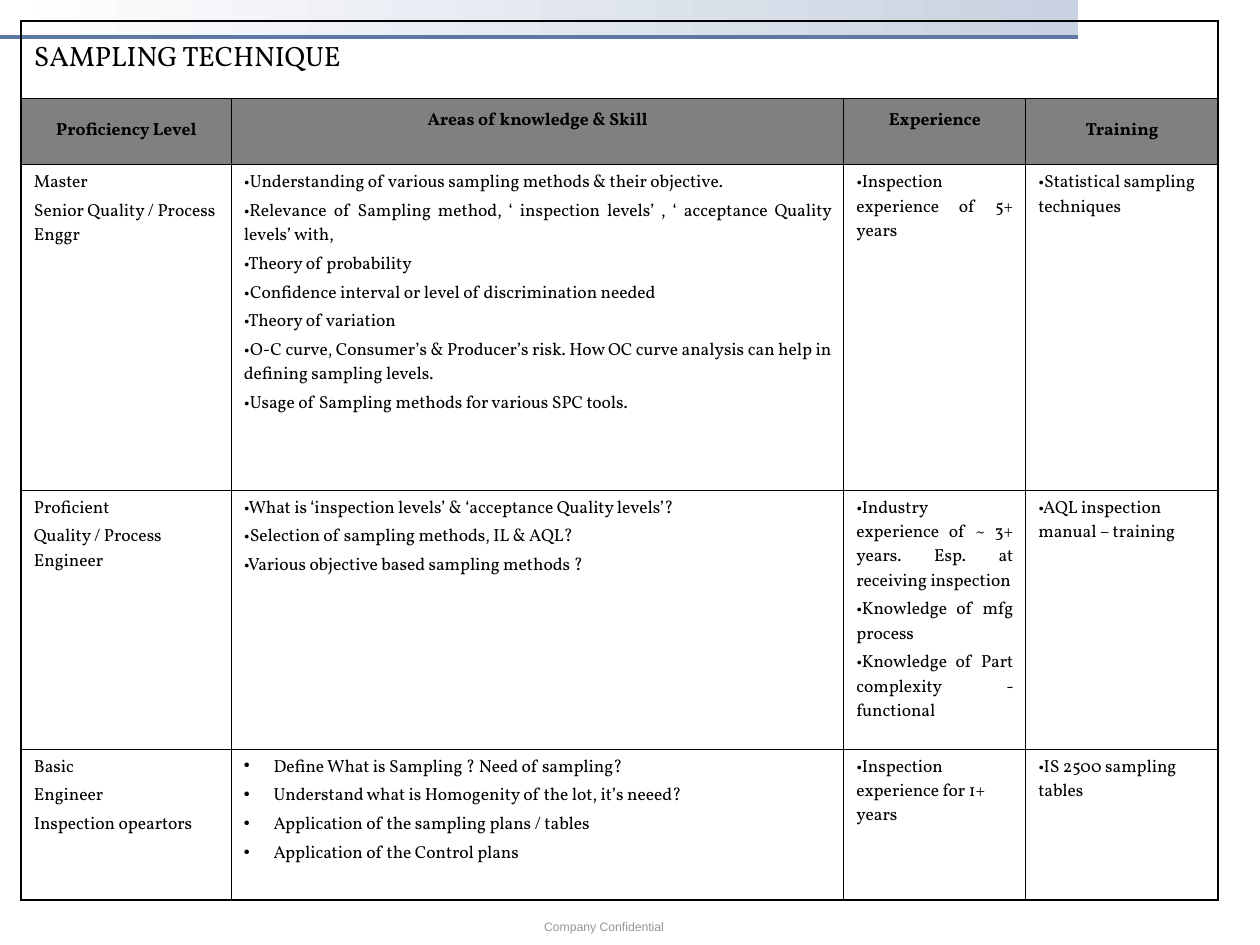
"""Build the sampling technique proficiency slide."""
from dataclasses import dataclass

from lxml.etree import SubElement
from pptx import Presentation
from pptx.dml.color import RGBColor
from pptx.enum.shapes import MSO_CONNECTOR, MSO_SHAPE
from pptx.enum.text import MSO_ANCHOR as Anchor, PP_ALIGN as Align
from pptx.oxml.ns import qn
from pptx.util import Pt

BLACK = "000000"
COLUMN_WIDTHS = (120, 350, 104, 110)
ROW_HEIGHTS = (44, 38, 186, 148, 86)
OUTER_BORDER, INNER_BORDER = 1.08, 0.45
BULLET_INDENT = 17


@dataclass
class CellText:
    lines: tuple[str, ...]
    align: Align = Align.LEFT
    anchor: Anchor = Anchor.TOP
    size: float = 10
    bold: bool = False
    space_before: float = 2.5
    bottom_margin: float = 3.6
    fill: str | None = None
    bulleted: bool = False


def heading(text: str, bottom_margin: float = 3.6) -> CellText:
    """Describe a grey column heading."""
    return CellText((text,), Align.CENTER, Anchor.MIDDLE, bold=True,
                    bottom_margin=bottom_margin, fill="808080")


def left(*lines: str) -> CellText:
    """Describe a left-aligned body cell."""
    return CellText(lines)


def justified(*lines: str) -> CellText:
    """Describe a justified body cell."""
    return CellText(lines, Align.JUSTIFY)


TITLE = CellText(("SAMPLING TECHNIQUE",), Align.JUSTIFY, Anchor.MIDDLE, size=16, space_before=4)
ROWS = (
    (TITLE,),
    (heading("Proficiency Level"), heading("Areas of knowledge & Skill", 15.6),
     heading("Experience", 15.6), heading("Training")),
    (left("Master", "Senior Quality / Process Enggr"),
     justified("•Understanding of various sampling methods & their objective.",
               "•Relevance of Sampling method, ‘ inspection levels’ , ‘ acceptance Quality levels’ with,",
               "•Theory of probability",
               "•Confidence interval or level of discrimination needed",
               "•Theory of variation",
               "•O-C curve, Consumer’s & Producer’s risk. How OC curve analysis can help in "
               "defining sampling levels.",
               "•Usage of Sampling methods for various SPC tools."),
     justified("•Inspection experience of 5+ years"),
     left("•Statistical sampling techniques")),
    (left("Proficient", "Quality / Process Engineer"),
     justified("•What is ‘inspection levels’ & ‘acceptance Quality levels’?",
               "•Selection of sampling methods, IL & AQL?",
               "•Various objective based sampling methods ?"),
     justified("•Industry experience of ~ 3+ years. Esp. at receiving inspection",
               "•Knowledge of mfg process",
               "•Knowledge of Part complexity - functional"),
     left("•AQL inspection manual – training")),
    (left("Basic", "Engineer", "Inspection opeartors"),
     CellText(("Define What is Sampling ? Need of sampling?",
               "Understand what is Homogenity of the lot, it’s neeed?",
               "Application of the sampling plans / tables",
               "Application of the Control plans"), bulleted=True),
     left("•Inspection experience for 1+ years"),
     left("•IS 2500 sampling tables")),
)


def color(value: str) -> RGBColor:
    """Convert a hex string to a colour."""
    return RGBColor.from_string(value)


def style_font(font, name: str, size: float, value: str, bold: bool = False) -> None:
    """Set the typeface, size, colour and weight."""
    font.name, font.size, font.bold = name, Pt(size), bold
    font.color.rgb = color(value)


def add_band(slide) -> None:
    """Draw the gradient band and the rule below it."""
    band = slide.shapes.add_shape(MSO_SHAPE.RECTANGLE, 0, 0, Pt(616), Pt(21.6))
    band.shadow.inherit = False
    band.line.fill.background()
    band.fill.gradient()
    band.fill.gradient_angle = 0
    for stop, value, position in zip(band.fill.gradient_stops, ("FFFFFF", "C8D1E0"), (0, 1)):
        stop.color.rgb = color(value)
        stop.position = position
    rule = slide.shapes.add_connector(MSO_CONNECTOR.STRAIGHT, Pt(-2), Pt(21), Pt(616), Pt(21))
    rule.line.color.rgb = color("5D78A3")
    rule.line.width = Pt(2.25)
    SubElement(rule._element.spPr, qn("a:effectLst"))


def add_footer(slide) -> None:
    """Write the confidentiality footer."""
    footer = slide.shapes.add_textbox(Pt(303), Pt(522), Pt(112), Pt(16))
    frame = footer.text_frame
    frame.word_wrap = False
    frame.margin_left = frame.margin_right = Pt(7.9)
    frame.text = "Company Confidential"
    style_font(frame.paragraphs[0].runs[0].font, "Arial", 7, "969696")


def add_bullet(paragraph) -> None:
    """Give a paragraph a hanging bullet."""
    properties = paragraph._p.get_or_add_pPr()
    properties.set("marL", str(Pt(BULLET_INDENT)))
    properties.set("indent", str(-Pt(BULLET_INDENT)))
    SubElement(properties, qn("a:buChar"), char="•")


def add_borders(cell, row: int, column: int) -> None:
    """Rule a cell, with heavier lines on the table's edge."""
    outer = {"lnL": column == 0, "lnR": column == len(COLUMN_WIDTHS) - 1,
             "lnT": row == 0, "lnB": row == len(ROW_HEIGHTS) - 1}
    if row == 0:
        outer["lnR"] = True
    properties = cell._tc.get_or_add_tcPr()
    for tag, is_outer in outer.items():
        width = Pt(OUTER_BORDER if is_outer else INNER_BORDER)
        line = SubElement(properties, qn(f"a:{tag}"), w=str(width))
        fill = SubElement(line, qn("a:solidFill"))
        SubElement(fill, qn("a:srgbClr"), val=BLACK)


def fill_cell(cell, content: CellText) -> None:
    """Write and format the text of a cell."""
    cell.vertical_anchor = content.anchor
    cell.margin_left = cell.margin_right = Pt(7.2)
    cell.margin_top, cell.margin_bottom = Pt(3.6), Pt(content.bottom_margin)
    if content.fill:
        cell.fill.solid()
        cell.fill.fore_color.rgb = color(content.fill)
    cell.text_frame.text = "\n".join(content.lines)
    for paragraph in cell.text_frame.paragraphs:
        paragraph.alignment = content.align
        paragraph.space_before = Pt(content.space_before)
        style_font(paragraph.runs[0].font, "Vollkorn", content.size, BLACK, content.bold)
        if content.bulleted:
            add_bullet(paragraph)


def add_proficiency_table(slide) -> None:
    """Draw the table of proficiency levels."""
    frame = slide.shapes.add_table(len(ROW_HEIGHTS), len(COLUMN_WIDTHS), Pt(12.2), Pt(12.2),
                                   Pt(sum(COLUMN_WIDTHS)), Pt(sum(ROW_HEIGHTS)))
    table = frame.table
    table.first_row = table.horz_banding = False
    for column, width in zip(table.columns, COLUMN_WIDTHS):
        column.width = Pt(width)
    for row, height in zip(table.rows, ROW_HEIGHTS):
        row.height = Pt(height)
    for row in range(len(ROW_HEIGHTS)):
        for column in range(len(COLUMN_WIDTHS)):
            cell = table.cell(row, column)
            add_borders(cell, row, column)
            cell.fill.background()
    table.cell(0, 0).merge(table.cell(0, len(COLUMN_WIDTHS) - 1))
    for row, contents in enumerate(ROWS):
        for column, content in enumerate(contents):
            fill_cell(table.cell(row, column), content)


def main() -> None:
    """Build and save the presentation."""
    presentation = Presentation()
    presentation.slide_width, presentation.slide_height = Pt(720), Pt(540)
    slide = presentation.slides.add_slide(presentation.slide_layouts[6])
    add_band(slide)
    add_footer(slide)
    add_proficiency_table(slide)
    presentation.save("out.pptx")


if __name__ == "__main__":
    main()
